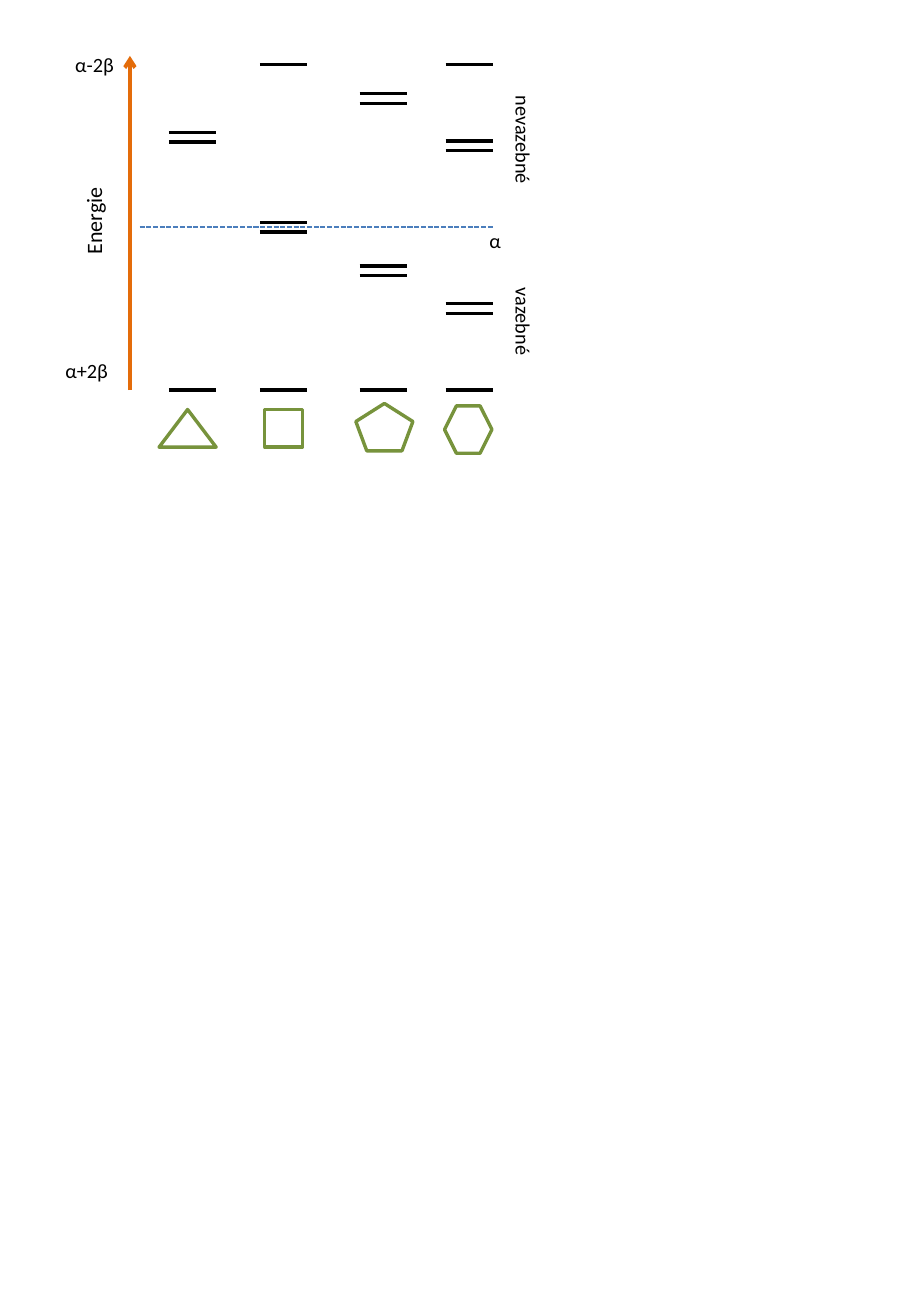
from dataclasses import dataclass
from lxml import etree
from pptx import Presentation
from pptx.dml.color import RGBColor
from pptx.enum.dml import MSO_LINE_DASH_STYLE as Dash
from pptx.enum.shapes import MSO_CONNECTOR_TYPE as Connector, MSO_SHAPE as Shape
from pptx.oxml.ns import qn
from pptx.util import Inches, Pt


@dataclass(frozen=True)
class Theme:
    """Colours, font and sizes in points."""
    ink: str = "000000"
    axis: str = "E46C0A"
    ring: str = "77933C"
    zero: str = "4B7EBC"
    font: str = "Calibri"
    label: int = 12
    title: int = 13
    level_width: float = 2
    axis_width: float = 2.25
    zero_width: float = 1


THEME = Theme()
BOTTOM, TOP, ALPHA = 3.21, 0.53, 1.87
LEVEL_LENGTH, PAIR_GAP = 0.39, 0.08

# One column per ring: level left, single levels, upper line of each pair,
# ring outline and its left, top, width, height
RINGS = [
    (1.39, [BOTTOM], [1.09], Shape.ISOSCELES_TRIANGLE, (1.31, 3.37, 0.47, 0.31)),
    (2.14, [BOTTOM, TOP], [1.83], Shape.RECTANGLE, (2.18, 3.37, 0.31, 0.31)),
    (2.96, [BOTTOM], [0.77, 2.19], Shape.REGULAR_PENTAGON, (2.93, 3.32, 0.47, 0.39)),
    (3.67, [BOTTOM, TOP], [1.16, 2.5], Shape.HEXAGON, (3.66, 3.34, 0.39, 0.39)),
]

# Text, left, top, width, height, rotation, size
LABELS = [
    ("α+2β", 0.44, 2.9, 0.55, 0.3, 0, THEME.label),
    ("α-2β", 0.52, 0.38, 0.55, 0.3, 0, THEME.label),
    ("α", 3.93, 1.83, 0.84, 0.3, 0, THEME.label),
    ("Energie", 0.3, 1.56, 0.94, 0.32, 270, THEME.title),
    ("nevazebné", 3.72, 1.13, 1.18, 0.3, 90, THEME.label),
    ("vazebné", 3.72, 2.71, 1.18, 0.3, 90, THEME.label),
]


def add_line(page, start, end, color, width):
    """Draw a straight line without a shadow and return it."""
    points = [Inches(value) for value in (*start, *end)]
    line = page.shapes.add_connector(Connector.STRAIGHT, *points)
    line.line.color.rgb = RGBColor.from_string(color)
    line.line.width = Pt(width)
    etree.SubElement(line._element.spPr, qn("a:effectLst"))
    return line


def add_level(page, left, y):
    """Draw one energy level."""
    add_line(page, (left, y), (left + LEVEL_LENGTH, y), THEME.ink, THEME.level_width)


def add_ring(page, outline, place):
    """Draw the unfilled outline of a ring."""
    ring = page.shapes.add_shape(outline, *map(Inches, place))
    ring.shadow.inherit = False
    ring.fill.background()
    ring.line.color.rgb = RGBColor.from_string(THEME.ring)
    ring.line.width = Pt(THEME.level_width)


def add_label(page, text, left, top, width, height, rotation, size):
    """Add a one-line text box."""
    box = page.shapes.add_textbox(*map(Inches, (left, top, width, height)))
    box.rotation = rotation
    frame = box.text_frame
    frame.word_wrap = True
    frame.margin_right = 0
    para = frame.paragraphs[0]
    para.text = text
    para.font.name = THEME.font
    para.font.size = Pt(size)
    para.font.color.rgb = RGBColor.from_string(THEME.ink)


def add_axes(page):
    """Draw the energy arrow and the dashed line at alpha."""
    energy = add_line(page, (1.07, BOTTOM), (1.07, 0.46), THEME.axis, THEME.axis_width)
    etree.SubElement(energy.line._get_or_add_ln(), qn("a:tailEnd"), type="arrow")
    zero = add_line(page, (1.15, ALPHA), (4.06, ALPHA), THEME.zero, THEME.zero_width)
    zero.line.dash_style = Dash.SQUARE_DOT


def build():
    """Build and save the energy diagram."""
    deck = Presentation()
    deck.slide_width, deck.slide_height = Inches(7.5), Inches(10.83)
    page = deck.slides.add_slide(deck.slide_layouts[6])
    add_axes(page)
    for left, singles, pairs, outline, place in RINGS:
        for y in singles + pairs + [upper + PAIR_GAP for upper in pairs]:
            add_level(page, left, y)
        add_ring(page, outline, place)
    for label in LABELS:
        add_label(page, *label)
    deck.save("out.pptx")


build()
